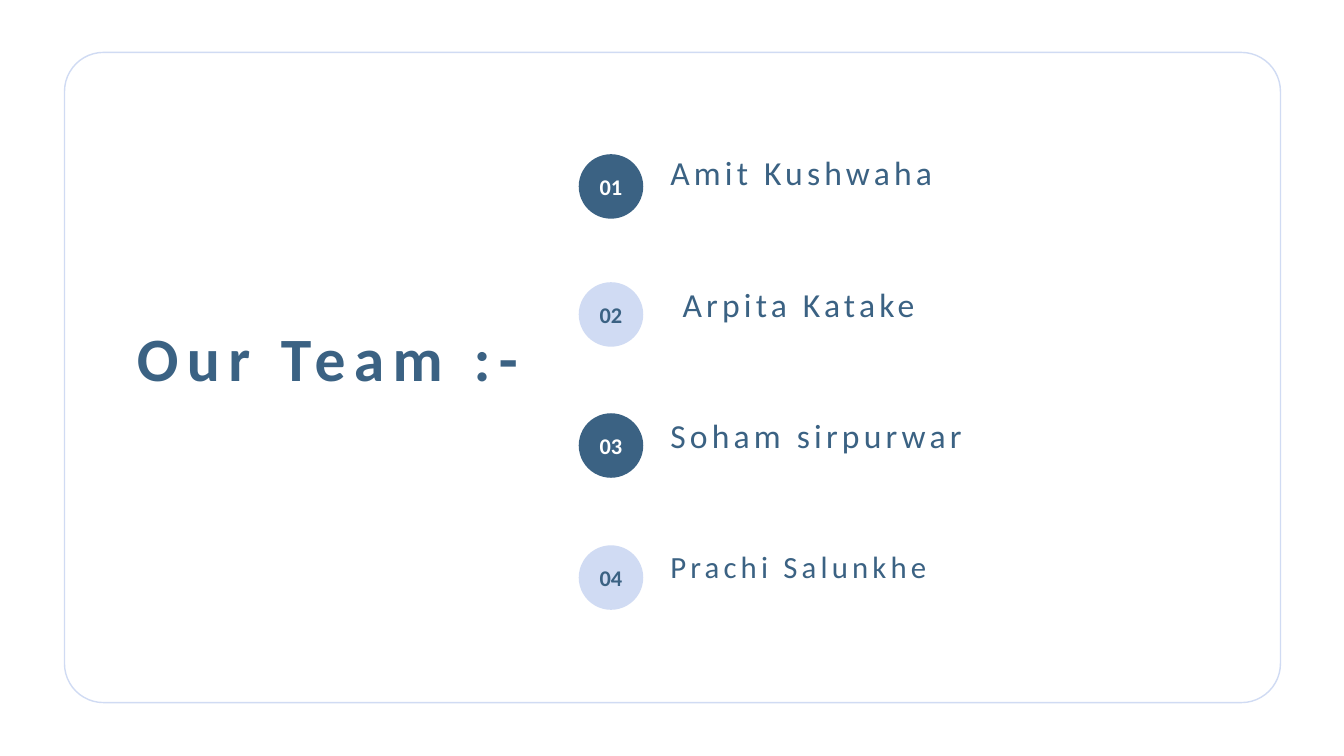
from pptx import Presentation
from pptx.dml.color import RGBColor
from pptx.enum import shapes, text

PX = 9144  # 100 px to the inch
NAVY = RGBColor(0x3B, 0x62, 0x83)
PALE = RGBColor(0xD0, 0xDB, 0xF3)
WHITE = RGBColor(0xFF, 0xFF, 0xFF)

# name, text size, left indent, top of name, top of badge
TEAM = [
    ("Amit Kushwaha", 24, 0, 146, 153),
    ("Arpita Katake", 24, 12, 277, 280),
    ("Soham sirpurwar", 24, 0, 407, 410),
    ("Prachi Salunkhe", 22, 0, 538, 541),
]


def px(*sizes):
    return [round(size * PX) for size in sizes]


def write(frame, words, size, color, bold=False, gap=0, align=text.PP_ALIGN.LEFT):
    """Add one run; gap is the letter spacing in points."""
    para = frame.paragraphs[0]
    para.alignment = align
    run = para.add_run()
    run.text = words
    font = run.font
    font.name, font.size, font.bold = "Calibri", size * 12700, bold
    font.color.rgb = color
    if gap:
        run._r.get_or_add_rPr().set("spc", str(gap * 100))


def add_panel(slide, left, top, width, height):
    panel = slide.shapes.add_shape(
        shapes.MSO_SHAPE.ROUNDED_RECTANGLE, *px(left, top, width, height))
    panel.shadow.inherit = False
    panel.adjustments[0] = 0.06
    panel.fill.solid()
    panel.fill.fore_color.rgb = WHITE
    panel.line.color.rgb = PALE
    panel.line.width = 12700
    # Keep the panel behind the title placeholder
    slide.shapes._spTree.insert(2, panel._element)


def add_title(slide, left, top, width, height):
    title = slide.shapes.title
    title.left, title.top, title.width, title.height = px(left, top, width, height)
    frame = title.text_frame
    frame.word_wrap = True
    frame.auto_size = text.MSO_AUTO_SIZE.NONE
    frame.vertical_anchor = text.MSO_ANCHOR.TOP
    write(frame, "Our Team :-", 44, NAVY, True, 6, text.PP_ALIGN.CENTER)


def add_badge(group, label, fill, ink, left, top, side):
    badge = group.shapes.add_shape(
        shapes.MSO_SHAPE.OVAL, *px(left, top, side, side))
    badge.shadow.inherit = False
    badge.fill.solid()
    badge.fill.fore_color.rgb = fill
    badge.line.fill.background()
    frame = badge.text_frame
    frame.margin_left = frame.margin_right = 0
    frame.vertical_anchor = text.MSO_ANCHOR.MIDDLE
    write(frame, label, 16, ink, True, align=text.PP_ALIGN.CENTER)


def add_name(group, name, size, indent, left, top, width, height):
    frame = group.shapes.add_textbox(*px(left, top, width, height)).text_frame
    frame.word_wrap = True
    frame.margin_left = px(10 + indent)[0]
    write(frame, name, size, NAVY, gap=3)


def add_team(slide, left):
    for i, (name, size, indent, top, dot) in enumerate(TEAM):
        group = slide.shapes.add_group_shape()
        fill, ink = (PALE, NAVY) if i % 2 else (NAVY, WHITE)
        add_badge(group, f"{i + 1:02}", fill, ink, left, dot, 64)
        add_name(group, name, size, indent, left + 81, top, 333, 49)


def main():
    deck = Presentation()
    deck.slide_width, deck.slide_height = px(1333, 750)
    slide = deck.slides.add_slide(deck.slide_layouts[5])
    add_panel(slide, 64, 52, 1206, 645)
    add_title(slide, 32, 312, 586, 84)
    add_team(slide, 574)
    deck.save("out.pptx")


if __name__ == "__main__":
    main()
